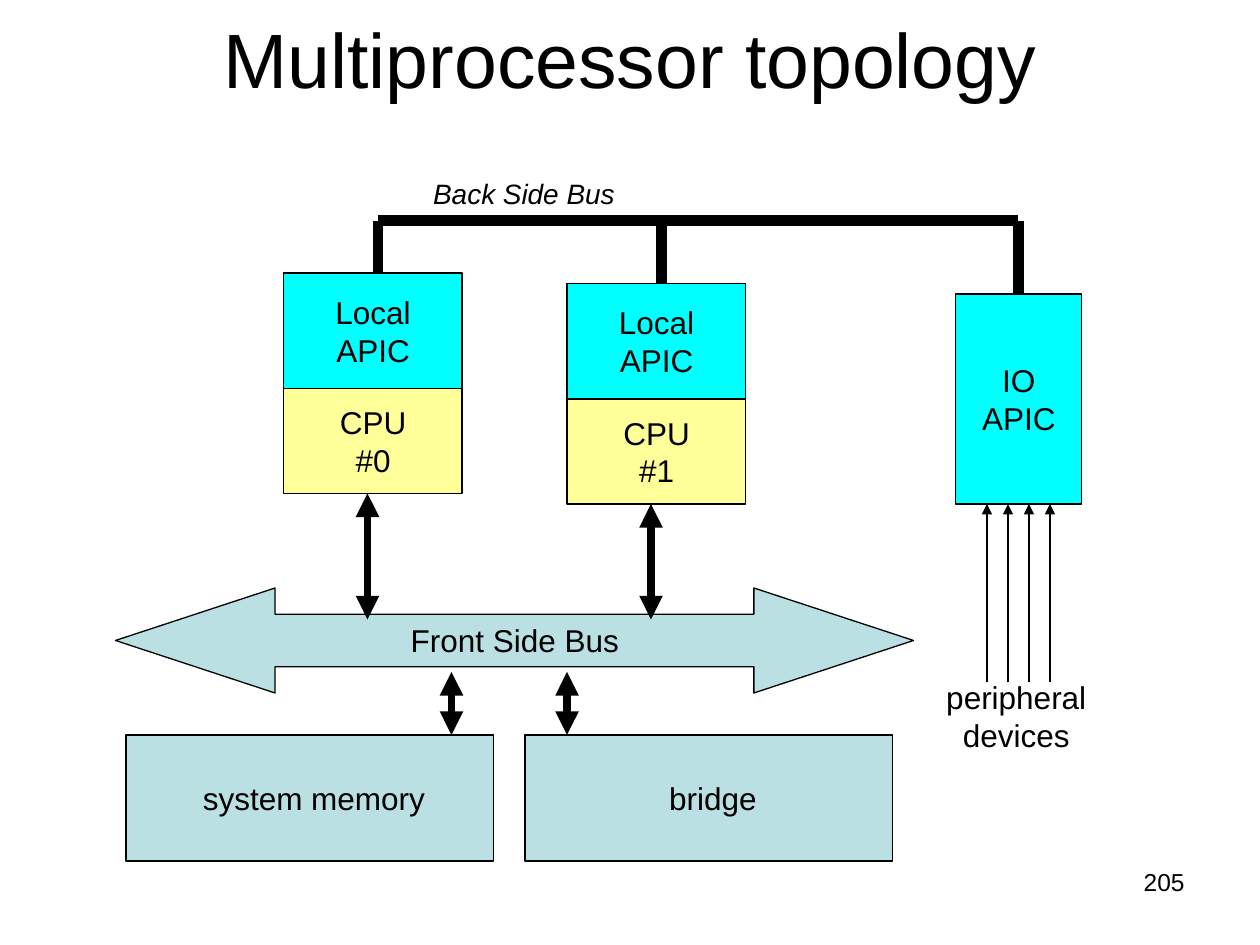
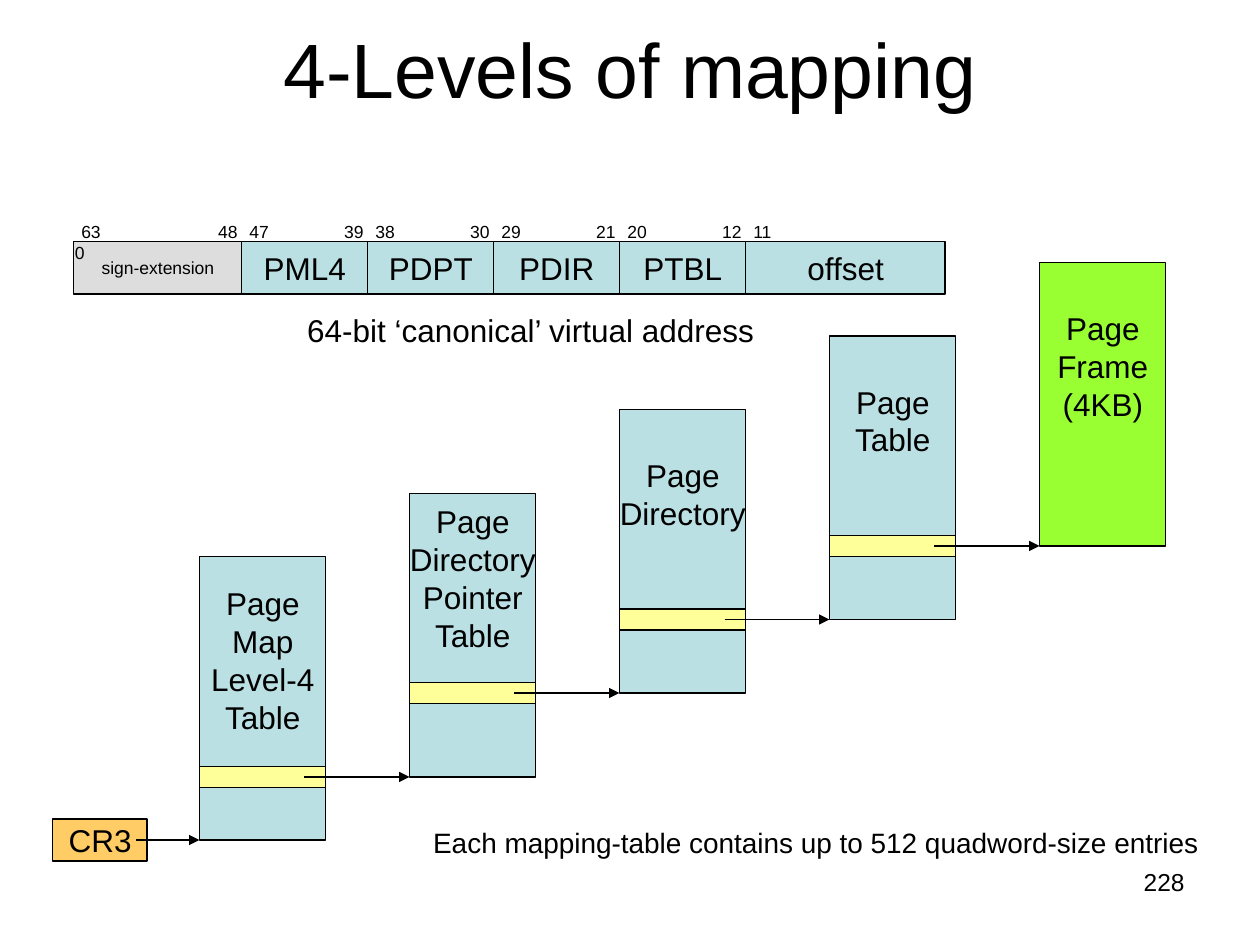
"""Build two slides on multiprocessor topology and four-level address mapping."""
from dataclasses import dataclass

import lxml.etree
import pptx
import pptx.dml.color
import pptx.enum.shapes
import pptx.enum.text
import pptx.oxml.ns
import pptx.presentation
import pptx.shapes.autoshape
import pptx.slide
import pptx.util

EMU_PER_PX = 9525
SHAPE = pptx.enum.shapes.MSO_SHAPE
ALIGN = pptx.enum.text.PP_ALIGN
ANCHOR = pptx.enum.text.MSO_ANCHOR


@dataclass(frozen=True)
class Theme:
    font: str = "Arial"
    ink: str = "000000"
    pale_blue: str = "BBE0E3"
    cyan: str = "00FFFF"
    yellow: str = "FFFF99"
    orange: str = "FFCC66"
    green: str = "99FF33"
    grey: str = "DDDDDD"
    title: int = 44
    body: int = 18
    note: int = 16
    footer: int = 14
    small: int = 10
    thin: float = 0.75
    arrow: float = 4.5
    bus: float = 6


THEME = Theme()


@dataclass(frozen=True)
class Box:
    left: int
    top: int
    width: int
    height: int
    lines: tuple[str, ...] = ()
    fill: str | None = None
    size: int = THEME.body
    align: ALIGN = ALIGN.CENTER
    anchor: ANCHOR = ANCHOR.MIDDLE
    italic: bool = False
    wrap: bool = False
    left_inset: int = 10
    bottom_inset: int = 5
    kind: SHAPE = SHAPE.RECTANGLE
    tabs: tuple[tuple[int, str], ...] = ()


@dataclass(frozen=True)
class Wire:
    x1: int
    y1: int
    x2: int
    y2: int
    width: float = THEME.thin
    head: bool = False
    tail: bool = False


@dataclass(frozen=True)
class Field:
    name: str
    width: int
    high: str
    low: str = ""
    fill: str = THEME.pale_blue
    size: int = THEME.body


@dataclass(frozen=True)
class Table:
    lines: tuple[str, ...]
    bottom: int
    blank_lines: int
    fill: str = THEME.pale_blue


def px(length: int) -> pptx.util.Emu:
    return pptx.util.Emu(length * EMU_PER_PX)


def color(code: str) -> pptx.dml.color.RGBColor:
    return pptx.dml.color.RGBColor.from_string(code)


def add_element(parent: lxml.etree._Element, tag: str, **attributes: str) -> lxml.etree._Element:
    return lxml.etree.SubElement(parent, pptx.oxml.ns.qn(tag), **attributes)


def write_text(shape: pptx.shapes.autoshape.Shape, box: Box) -> None:
    frame = shape.text_frame
    frame.word_wrap = box.wrap
    frame.vertical_anchor = box.anchor
    frame.margin_left = px(box.left_inset)
    frame.margin_bottom = px(box.bottom_inset)
    for index, line in enumerate(box.lines):
        para = frame.add_paragraph() if index else frame.paragraphs[0]
        para.alignment = box.align
        if box.tabs:
            stops = add_element(para._p.get_or_add_pPr(), "a:tabLst")
            for position, side in box.tabs:
                add_element(stops, "a:tab", pos=str(px(position)), algn=side)
        span = para.add_run()
        span.text = line
        span.font.name = THEME.font
        span.font.size = pptx.util.Pt(box.size)
        span.font.italic = box.italic
        span.font.color.rgb = color(THEME.ink)


def draw_box(page: pptx.slide.Slide, box: Box) -> pptx.shapes.autoshape.Shape:
    place = [px(length) for length in (box.left, box.top, box.width, box.height)]
    if box.fill is None:
        shape = page.shapes.add_textbox(*place)
    else:
        shape = page.shapes.add_shape(box.kind, *place)
        shape.shadow.inherit = False
        shape.fill.solid()
        shape.fill.fore_color.rgb = color(box.fill)
        shape.line.color.rgb = color(THEME.ink)
        shape.line.width = pptx.util.Pt(THEME.thin)
    write_text(shape, box)
    return shape


def draw_wire(page: pptx.slide.Slide, wire: Wire) -> None:
    ends = [px(length) for length in (wire.x1, wire.y1, wire.x2, wire.y2)]
    line = page.shapes.add_connector(pptx.enum.shapes.MSO_CONNECTOR.STRAIGHT, *ends)
    line.line.color.rgb = color(THEME.ink)
    line.line.width = pptx.util.Pt(wire.width)
    outline = line.line._get_or_add_ln()
    if wire.head:
        add_element(outline, "a:headEnd", type="triangle")
    if wire.tail:
        add_element(outline, "a:tailEnd", type="triangle")
    add_element(line._element.spPr, "a:effectLst")


def add_page(deck: pptx.presentation.Presentation, title: str, title_top: int, number: int) -> pptx.slide.Slide:
    page = deck.slides.add_slide(deck.slide_layouts[6])
    draw_box(page, Box(48, title_top, 864, 120, (title,), size=THEME.title, wrap=True))
    draw_box(page, Box(688, 656, 224, 50, (str(number),), size=THEME.footer,
                       align=ALIGN.RIGHT, anchor=ANCHOR.TOP, wrap=True))
    return page


def draw_processor(page: pptx.slide.Slide, number: int, left: int, top: int, bus_top: int) -> None:
    draw_box(page, Box(left, top + 88, 136, 80, ("CPU", f"#{number}"), THEME.yellow))
    draw_box(page, Box(left, top, 136, 88, ("Local", "APIC"), THEME.cyan))
    draw_wire(page, Wire(left + 72, bus_top, left + 72, top, THEME.bus))


def build_topology(deck: pptx.presentation.Presentation) -> None:
    page = add_page(deck, "Multiprocessor topology", -16, 205)
    back_bus_top = 168
    processors = ((216, 208), (432, 216))
    for number, (left, top) in enumerate(processors):
        draw_processor(page, number, left, top, back_bus_top)
    draw_wire(page, Wire(288, back_bus_top, 776, back_bus_top, THEME.bus))
    draw_box(page, Box(728, 224, 96, 160, ("IO", "APIC"), THEME.cyan))
    draw_wire(page, Wire(776, back_bus_top, 776, 224, THEME.bus))
    front_bus = draw_box(page, Box(88, 448, 608, 80, ("Front Side Bus",), THEME.pale_blue,
                                   kind=SHAPE.LEFT_RIGHT_ARROW))
    front_bus.adjustments[0] = 0.5
    front_bus.adjustments[1] = 1.52
    for left, top in processors:
        draw_wire(page, Wire(left + 64, top + 168, left + 64, 472, THEME.arrow, True, True))
    for index in range(4):
        x = 752 + 16 * index
        draw_wire(page, Wire(x, 520, x, 384, tail=True))
    draw_box(page, Box(708, 512, 132, 67, ("peripheral", "devices"), anchor=ANCHOR.TOP))
    draw_box(page, Box(320, 130, 176, 36, ("Back Side Bus",), size=THEME.note,
                       align=ALIGN.LEFT, anchor=ANCHOR.TOP, italic=True, wrap=True))
    for left, label, arrow_x in ((96, "system memory", 344), (400, "bridge", 432)):
        draw_box(page, Box(left, 560, 280, 96, (label,), THEME.pale_blue, left_inset=16))
        draw_wire(page, Wire(arrow_x, 512, arrow_x, 560, THEME.arrow, True, True))


def draw_address(page: pptx.slide.Slide) -> None:
    fields = (
        Field("sign-extension", 128, "63", "48", THEME.grey, THEME.small),
        Field("PML4", 96, "47", "39"),
        Field("PDPT", 96, "38", "30"),
        Field("PDIR", 96, "29", "21"),
        Field("PTBL", 96, "20", "12"),
        Field("offset", 152, "11"),
    )
    start = left = 56
    bits: list[str] = []
    tabs: list[tuple[int, str]] = []
    for field in fields:
        draw_box(page, Box(left, 184, field.width, 40, (field.name,), field.fill, field.size))
        bits.append(field.high)
        tabs.append((left - start + 5, "l"))
        left += field.width
        if field.low:
            bits.append(field.low)
            tabs.append((left - start - 4, "r"))
    bit_line = "".join(f"\t{bit}" for bit in bits)
    draw_box(page, Box(start, 164, left - start, 38, (bit_line, "0"), size=THEME.small,
                       align=ALIGN.LEFT, anchor=ANCHOR.TOP, wrap=True, left_inset=1,
                       tabs=tuple(tabs)))
    draw_box(page, Box(224, 232, 376, 38, ("64-bit ‘canonical’ virtual address",),
                       align=ALIGN.LEFT, anchor=ANCHOR.TOP, wrap=True))


def draw_tables(page: pptx.slide.Slide) -> None:
    tables = (
        Table(("Page", "Map", "Level-4", "Table"), 640, 2),
        Table(("Page", "Directory", "Pointer", "Table"), 592, 3),
        Table(("Page", "Directory"), 528, 3),
        Table(("Page", "Table"), 472, 3),
        Table(("Page", "Frame", "(4KB)"), 416, 2, THEME.green),
    )
    height, line_height, first_left, step = 216, 29, 152, 160
    for index, table in enumerate(tables):
        draw_box(page, Box(first_left + step * index, table.bottom - height, 96, height,
                           table.lines, table.fill,
                           bottom_inset=5 + line_height * table.blank_lines))
    for index, target in enumerate(tables[1:]):
        left = first_left + step * index
        draw_box(page, Box(left, target.bottom - 8, 96, 16, fill=THEME.yellow))
        draw_wire(page, Wire(left + 80, target.bottom, left + step, target.bottom, tail=True))
    draw_box(page, Box(40, 624, 72, 32, ("CR3",), THEME.orange))
    draw_wire(page, Wire(104, 640, first_left, 640, tail=True))


def build_mapping(deck: pptx.presentation.Presentation) -> None:
    page = add_page(deck, "4-Levels of mapping", -8, 228)
    draw_tables(page)
    draw_address(page)
    draw_box(page, Box(320, 624, 608, 36,
                       ("Each mapping-table contains up to 512 quadword-size entries",),
                       size=THEME.note, align=ALIGN.LEFT, anchor=ANCHOR.TOP, wrap=True))


def main() -> None:
    deck = pptx.Presentation()
    deck.slide_width, deck.slide_height = px(960), px(720)
    build_topology(deck)
    build_mapping(deck)
    deck.save("out.pptx")


if __name__ == "__main__":
    main()
